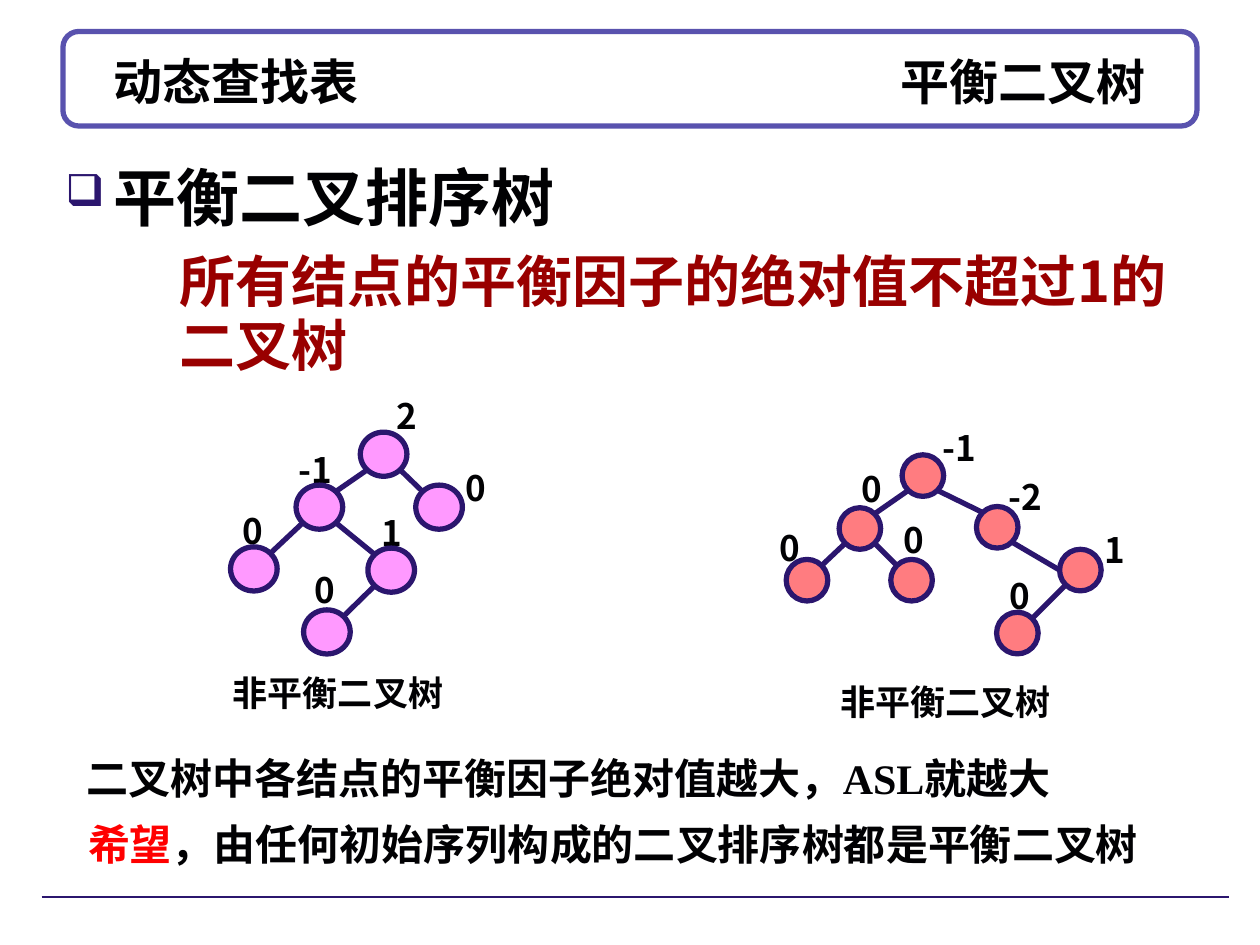
from lxml.etree import SubElement
from pptx import Presentation
from pptx.dml.color import RGBColor
from pptx.enum.shapes import MSO_CONNECTOR as Connector, MSO_SHAPE as Shape
from pptx.enum.text import MSO_ANCHOR as Anchor, MSO_AUTO_SIZE as AutoSize, PP_ALIGN as Align
from pptx.oxml.ns import qn
from pptx.util import Inches, Pt

INK = RGBColor(0x01, 0x01, 0x03)
WHITE = RGBColor(0xFF, 0xFF, 0xFF)
NAVY = RGBColor(0x2B, 0x16, 0x6E)
VIOLET = RGBColor(0x59, 0x52, 0xAE)
DARK_RED = RGBColor(0x99, 0x00, 0x00)
RED = RGBColor(0xFF, 0x00, 0x00)
PINK = RGBColor(0xFF, 0x99, 0xFF)
CORAL = RGBColor(0xFF, 0x7C, 0x80)
SANS = "Noto Sans CJK SC"
SERIF = "Times New Roman"

# Node: left, top, balance factor, label left, label top, parent index
LEFT_TREE = [
    (2.86, 3.43, "2", 3.05, 3.05, None),
    (2.35, 3.85, "-1", 2.27, 3.48, 0),
    (3.30, 3.85, "0", 3.60, 3.62, 0),
    (1.83, 4.34, "0", 1.83, 3.96, 1),
    (2.92, 4.35, "1", 2.93, 3.98, 1),
    (2.41, 4.84, "0", 2.40, 4.43, 4),
]
RIGHT_TREE = [
    (7.16, 3.61, "-1", 7.38, 3.30, None),
    (6.66, 4.03, "0", 6.74, 3.63, 0),
    (7.75, 4.02, "-2", 7.91, 3.69, 0),
    (6.24, 4.44, "0", 6.09, 4.10, 1),
    (7.07, 4.44, "0", 7.07, 4.03, 1),
    (8.41, 4.36, "1", 8.67, 4.11, 2),
    (7.91, 4.86, "0", 7.91, 4.48, 5),
]


def write(paragraph, *runs, size=20, font=SANS, color=INK, spacing=1.1):
    """Fill a paragraph; a run is a text or a (text, color) pair."""
    paragraph.line_spacing = spacing
    paragraph.space_before = Pt(0)
    for run_data in runs:
        text, run_color = (run_data, color) if isinstance(run_data, str) else run_data
        run = paragraph.add_run()
        run.text = text
        run.font.size = Pt(size)
        run.font.bold = True
        run.font.color.rgb = run_color
        run.font.name = font
        SubElement(run.font._element, qn("a:ea"), typeface=SANS)


def set_indent(paragraph, left, first=0.0):
    properties = paragraph._p.get_or_add_pPr()
    properties.set("marL", str(Inches(left)))
    properties.set("indent", str(Inches(first)))
    return properties


class SlideBuilder:
    def __init__(self, slide, line_color=NAVY, line_width=3):
        self.slide = slide
        self.line_color = line_color
        self.line_width = line_width

    def title(self, left_text, right_text):
        """Set two headings on one line, parted by a right tab."""
        title = self.slide.shapes.title
        title.left, title.top = Inches(0.5), Inches(0.33)
        title.width, title.height = Inches(9), Inches(0.62)
        frame = title.text_frame
        frame.auto_size = AutoSize.NONE
        frame.vertical_anchor = Anchor.MIDDLE
        frame.margin_left = Inches(0.4)
        paragraph = frame.paragraphs[0]
        paragraph.alignment = Align.LEFT
        tabs = SubElement(paragraph._p.get_or_add_pPr(), qn("a:tabLst"))
        SubElement(tabs, qn("a:tab"), pos=str(Inches(8.19)), algn="r")
        write(paragraph, f"{left_text}\t{right_text}", size=28, font=SERIF, spacing=1.0)
        return title

    def text(self, left, top, width, height, *runs, **style):
        box = self.slide.shapes.add_textbox(
            Inches(left), Inches(top), Inches(width), Inches(height))
        box.text_frame.word_wrap = True
        paragraph = box.text_frame.paragraphs[0]
        write(paragraph, *runs, **style)
        return paragraph

    def shape(self, kind, left, top, width, height, fill, line_color=None):
        shape = self.slide.shapes.add_shape(
            kind, Inches(left), Inches(top), Inches(width), Inches(height))
        shape.shadow.inherit = False
        shape.fill.solid()
        shape.fill.fore_color.rgb = fill
        shape.line.color.rgb = line_color or self.line_color
        shape.line.width = Pt(self.line_width)
        return shape

    def line(self, start, end, width=None):
        points = [Inches(value) for value in (*start, *end)]
        line = self.slide.shapes.add_connector(Connector.STRAIGHT, *points)
        line.line.color.rgb = self.line_color
        line.line.width = Pt(width or self.line_width)
        SubElement(line._element.spPr, qn("a:effectLst"))

    def tree(self, nodes, width, height, fill, label_width, side_entry=None):
        """Draw labels, nodes and edges; edges meet the circles on their diagonals.

        The edge to the node side_entry ends at the middle of its left side.
        """
        for _, _, factor, left, top, _ in nodes:
            self.text(left, top, label_width + 0.25 * (len(factor) - 1), 0.47, factor)
        for left, top, *_ in nodes:
            self.shape(Shape.OVAL, left, top, width, height, fill)
        near, far = 0.14, 0.86
        for index, (left, top, _, _, _, parent) in enumerate(nodes):
            if parent is None:
                continue
            parent_left, parent_top = nodes[parent][:2]
            leave, enter = (near, far) if left < parent_left else (far, near)
            end = (left + enter * width, top + near * height)
            if index == side_entry:
                end = (left, top + height / 2)
            self.line((parent_left + leave * width, parent_top + far * height), end)


def main():
    presentation = Presentation()
    presentation.slide_width, presentation.slide_height = Inches(10), Inches(7.5)
    slide = presentation.slides.add_slide(presentation.slide_layouts[5])
    builder = SlideBuilder(slide)

    title = builder.title("动态查找表", "平衡二叉树")
    frame = builder.shape(Shape.ROUNDED_RECTANGLE, 0.5, 0.25, 9, 0.75, WHITE, VIOLET)
    title.element.addprevious(frame.element)
    builder.line((0.33, 7.12), (9.75, 7.12), width=0.75)

    heading = builder.text(0.42, 1.15, 9.3, 0.67, "平衡二叉排序树", size=36, font=SERIF)
    properties = set_indent(heading, 0.38, -0.38)
    bullet_color = SubElement(properties, qn("a:buClr"))
    SubElement(bullet_color, qn("a:srgbClr"), val=str(NAVY))
    SubElement(properties, qn("a:buSzPct"), val="70000")
    SubElement(properties, qn("a:buChar"), char="❑")

    definition = builder.text(0.33, 1.95, 9.25, 1.11,
                              "所有结点的平衡因子的绝对值不超过1的二叉树",
                              size=32, color=DARK_RED, spacing=0.95)
    set_indent(definition, 1)

    builder.tree(LEFT_TREE, 0.37, 0.35, PINK, label_width=0.33)
    builder.tree(RIGHT_TREE, 0.33, 0.33, CORAL, label_width=0.42, side_entry=5)
    for left, top, width in [(1.75, 5.25, 2.17), (6.57, 5.32, 2.33)]:
        builder.text(left, top, width, 0.47, "非平衡二叉树")

    builder.text(0.59, 5.88, 9.08, 0.55,
                 "二叉树中各结点的平衡因子绝对值越大，ASL就越大", size=24, font=SERIF)
    builder.text(0.6, 6.41, 9.08, 0.55, ("希望", RED),
                 "，由任何初始序列构成的二叉排序树都是平衡二叉树", size=24, font=SERIF)

    presentation.save("out.pptx")


if __name__ == "__main__":
    main()
